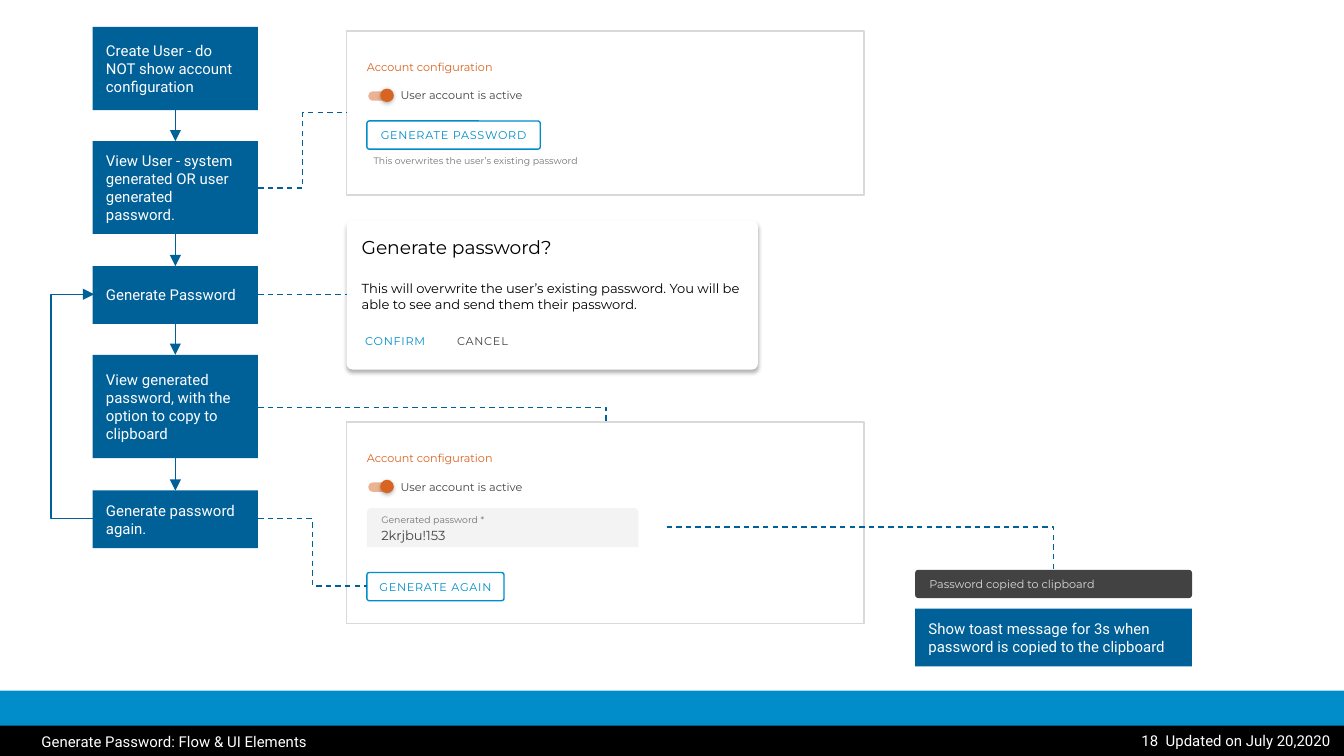
from typing import NamedTuple, Optional

from lxml.etree import SubElement
from pptx import Presentation
from pptx.dml.color import RGBColor
from pptx.enum.dml import MSO_LINE
from pptx.enum.shapes import MSO_CONNECTOR as Link, MSO_SHAPE as Shape
from pptx.enum.text import MSO_ANCHOR as Anchor, PP_ALIGN as Align
from pptx.oxml.ns import qn
from pptx.util import Inches, Pt

WHITE = RGBColor(0xFF, 0xFF, 0xFF)
BLACK = RGBColor(0x00, 0x00, 0x00)
SKY = RGBColor(0x00, 0x8D, 0xC9)
NAVY = RGBColor(0x00, 0x60, 0x98)
ORANGE = RGBColor(0xD8, 0x64, 0x22)
CHARCOAL = RGBColor(0x42, 0x42, 0x42)
GRAY = RGBColor(0x73, 0x73, 0x73)
SILVER = RGBColor(0xD9, 0xD9, 0xD9)
FIELD = RGBColor(0xF3, 0xF3, 0xF3)
UI_FONT, FLOW_FONT = "Montserrat", "Roboto"


class Area(NamedTuple):
    left: float
    top: float
    width: float
    height: float


class Text(NamedTuple):
    words: str
    size: float
    color: RGBColor
    font: str = UI_FONT
    align: Align = Align.LEFT
    tracking: int = 0  # hundredths of a point
    before: float = 0
    spacing: Optional[float] = None


class Step(NamedTuple):
    words: str
    top: float
    height: float


class Callout(NamedTuple):
    start: tuple
    end: tuple
    preset: str = "bentConnector3"


STEP_LEFT, STEP_WIDTH = 0.69, 1.23
STEP_RIGHT = STEP_LEFT + STEP_WIDTH
STEP_MIDDLE = STEP_LEFT + STEP_WIDTH / 2
STEPS = [
    Step("Create User - do NOT show account configuration", 0.2, 0.62),
    Step("View User - system generated OR user generated password.", 1.05, 0.69),
    Step("Generate Password", 1.98, 0.43),
    Step("View generated password, with the option to copy to clipboard", 2.64, 0.77),
    Step("Generate password again.", 3.65, 0.43),
]
CALLOUTS = [
    Callout((STEP_RIGHT, 1.4), (2.58, 0.84)),
    Callout((STEP_RIGHT, 2.19), (2.58, 2.19), "line"),
    Callout((STEP_RIGHT, 3.03), (4.51, 3.14), "bentConnector2"),
    Callout((STEP_RIGHT, 3.86), (2.73, 4.36)),
    Callout((4.96, 3.92), (7.84, 4.24), "bentConnector2"),
]


def write(box, texts: list, insets: tuple, anchor: Anchor = Anchor.MIDDLE) -> None:
    frame = box.text_frame
    frame.word_wrap = True
    frame.vertical_anchor = anchor
    (frame.margin_left, frame.margin_top,
     frame.margin_right, frame.margin_bottom) = map(Inches, insets)
    for index, text in enumerate(texts):
        para = frame.add_paragraph() if index else frame.paragraphs[0]
        span = para.add_run()
        span.text = text.words
        if text.tracking:
            span.font._element.set("spc", str(text.tracking))
        para.alignment = text.align
        para.space_before = Pt(text.before)
        if text.spacing:
            para.line_spacing = text.spacing
        para.font.name, para.font.size = text.font, Pt(text.size)
        para.font.color.rgb = text.color


def add_label(page, area: Area, text: Text, insets: tuple = (0, 0, 0, 0),
              anchor: Anchor = Anchor.MIDDLE) -> None:
    write(page.shapes.add_textbox(*map(Inches, area)), [text], insets, anchor)


def add_block(page, area: Area, fill: Optional[RGBColor], kind: Shape = Shape.RECTANGLE,
              line: Optional[RGBColor] = None, corner: Optional[float] = None):
    block = page.shapes.add_shape(kind, *map(Inches, area))
    block.shadow.inherit = False
    if corner is not None:
        block.adjustments[0] = corner
    if fill is None:
        block.fill.background()
    else:
        block.fill.solid()
        block.fill.fore_color.rgb = fill
    if line is None:
        block.line.fill.background()
    else:
        block.line.color.rgb = line
        block.line.width = Pt(0.75)
    return block


def set_alpha(color, percent: int) -> None:
    SubElement(color, qn("a:alpha")).set("val", str(percent * 1000))


def drop_shadow(block, distance: float) -> None:
    effects = block._element.spPr.find(qn("a:effectLst"))
    shadow = SubElement(effects, qn("a:outerShdw"), blurRad=str(Pt(2.2)),
                        dist=str(Pt(distance)), dir="5400000", algn="bl", rotWithShape="0")
    set_alpha(SubElement(shadow, qn("a:srgbClr"), val=str(BLACK)), 30)


def add_note(page, area: Area, words: str) -> None:
    write(add_block(page, area, NAVY), [Text(words, 8, WHITE, FLOW_FONT)], (0.1,) * 4)


def add_button(page, area: Area, words: str, color: RGBColor, outlined: bool = False) -> None:
    button = add_block(page, area, WHITE if outlined else None, Shape.ROUNDED_RECTANGLE,
                       color if outlined else None, 0.09)
    write(button, [Text(words, 6, color, align=Align.CENTER, tracking=40)], (0,) * 4)


def add_account_card(page, top: float, height: float) -> None:
    add_block(page, Area(2.58, top, 3.85, height), WHITE, line=SILVER)
    add_label(page, Area(2.73, top + 0.21, 1.08, 0.12), Text("Account configuration", 6, ORANGE))
    add_label(page, Area(2.98, top + 0.42, 1.15, 0.12), Text("User account is active", 6, CHARCOAL))
    track = add_block(page, Area(2.74, top + 0.45, 0.19, 0.07), ORANGE,
                      Shape.ROUNDED_RECTANGLE, corner=0.5)
    set_alpha(track._element.spPr.find(qn("a:solidFill"))[0], 49)
    knob = add_block(page, Area(2.83, top + 0.43, 0.1, 0.1), ORANGE,
                     Shape.ROUNDED_RECTANGLE, corner=0.5)
    drop_shadow(knob, 0.8)


def add_link(page, start: tuple, end: tuple, preset: str = "line",
             dashed: bool = False, arrow: bool = False, bend: Optional[float] = None) -> None:
    kind = Link.STRAIGHT if preset == "line" else Link.ELBOW
    link = page.shapes.add_connector(kind, *map(Inches, start + end))
    link.line.color.rgb = NAVY
    link.line.width = Pt(0.75)
    if dashed:
        link.line.dash_style = MSO_LINE.DASH
    if arrow:
        SubElement(link.line._get_or_add_ln(), qn("a:tailEnd"), type="triangle")
    properties = link._element.spPr
    SubElement(properties, qn("a:effectLst"))
    geometry = properties.find(qn("a:prstGeom"))
    geometry.set("prst", preset)
    if bend is not None:
        SubElement(geometry.find(qn("a:avLst")), qn("a:gd"), name="adj1",
                   fmla=f"val {round(bend * 100000)}")


def main() -> None:
    deck = Presentation()
    deck.slide_width = Inches(10)
    deck.slide_height = deck.slide_width * 9 // 16
    page = deck.slides.add_slide(deck.slide_layouts[6])

    # Blue page with a white work area
    page.background.fill.solid()
    page.background.fill.fore_color.rgb = SKY
    add_block(page, Area(0, 0, 10, 5.14), WHITE)

    # Card before a password is generated
    add_account_card(page, 0.23, 1.22)
    add_label(page, Area(2.73, 1.12, 1.69, 0.16),
              Text("This overwrites the user’s existing password", 5, GRAY), (0.05, 0, 0, 0))
    add_button(page, Area(2.73, 0.9, 1.29, 0.21), "GENERATE PASSWORD", SKY, outlined=True)

    # Confirmation dialog
    dialog = add_block(page, Area(2.58, 1.64, 3.06, 1.11), WHITE,
                       Shape.ROUNDED_RECTANGLE, corner=0.04)
    drop_shadow(dialog, 1.5)
    write(dialog, [
        Text("Generate password?", 10, BLACK),
        Text("This will overwrite the user’s existing password. You will be able to see "
             "and send them their password.", 7, BLACK, before=12.2),
    ], (0.1,) * 4, Anchor.TOP)
    add_button(page, Area(2.65, 2.43, 0.58, 0.21), "CONFIRM", SKY)
    add_button(page, Area(3.32, 2.43, 0.54, 0.21), "CANCEL", CHARCOAL)

    # Card with the generated password
    add_account_card(page, 3.14, 1.5)
    field = add_block(page, Area(2.73, 3.78, 2.02, 0.29), FIELD,
                      Shape.ROUND_2_SAME_RECTANGLE, corner=0.11)
    write(field, [Text("Generated password *", 5, GRAY, spacing=1.15),
                  Text("2krjbu!153", 7, CHARCOAL, spacing=1.15)], (0.1,) * 4)
    add_button(page, Area(2.73, 4.26, 1.02, 0.21), "GENERATE AGAIN", SKY, outlined=True)

    # Flow steps, the arrows between them and the way back
    for step in STEPS:
        add_note(page, Area(STEP_LEFT, step.top, STEP_WIDTH, step.height), step.words)
    for step, following in zip(STEPS, STEPS[1:]):
        add_link(page, (STEP_MIDDLE, step.top + step.height),
                 (STEP_MIDDLE, following.top), arrow=True)
    add_link(page, (STEP_LEFT, 3.86), (STEP_LEFT + 0.01, 2.19), "bentConnector3",
             arrow=True, bend=-31.5)

    # Dashed links from steps to screens
    for callout in CALLOUTS:
        add_link(page, callout.start, callout.end, callout.preset, dashed=True)

    # Toast message
    toast = add_block(page, Area(6.81, 4.24, 2.06, 0.21), CHARCOAL,
                      Shape.ROUNDED_RECTANGLE, corner=0.11)
    write(toast, [Text("Password copied to clipboard", 6, SILVER)], (0.1, 0, 0, 0))
    add_note(page, Area(6.81, 4.53, 2.06, 0.43),
             "Show toast message for 3s when password is copied to the clipboard")

    # Footer
    add_block(page, Area(0, 5.4, 10, 0.25), BLACK)
    add_label(page, Area(0.21, 5.41, 4.79, 0.21),
              Text("Generate Password: Flow & UI Elements", 8, WHITE, FLOW_FONT), (0.1, 0, 0.1, 0))
    add_label(page, Area(8.33, 5.38, 1.67, 0.28),
              Text("18  Updated on July 20,2020", 8, WHITE, FLOW_FONT, Align.RIGHT),
              (0.1,) * 4, Anchor.TOP)

    deck.save("out.pptx")


if __name__ == "__main__":
    main()
